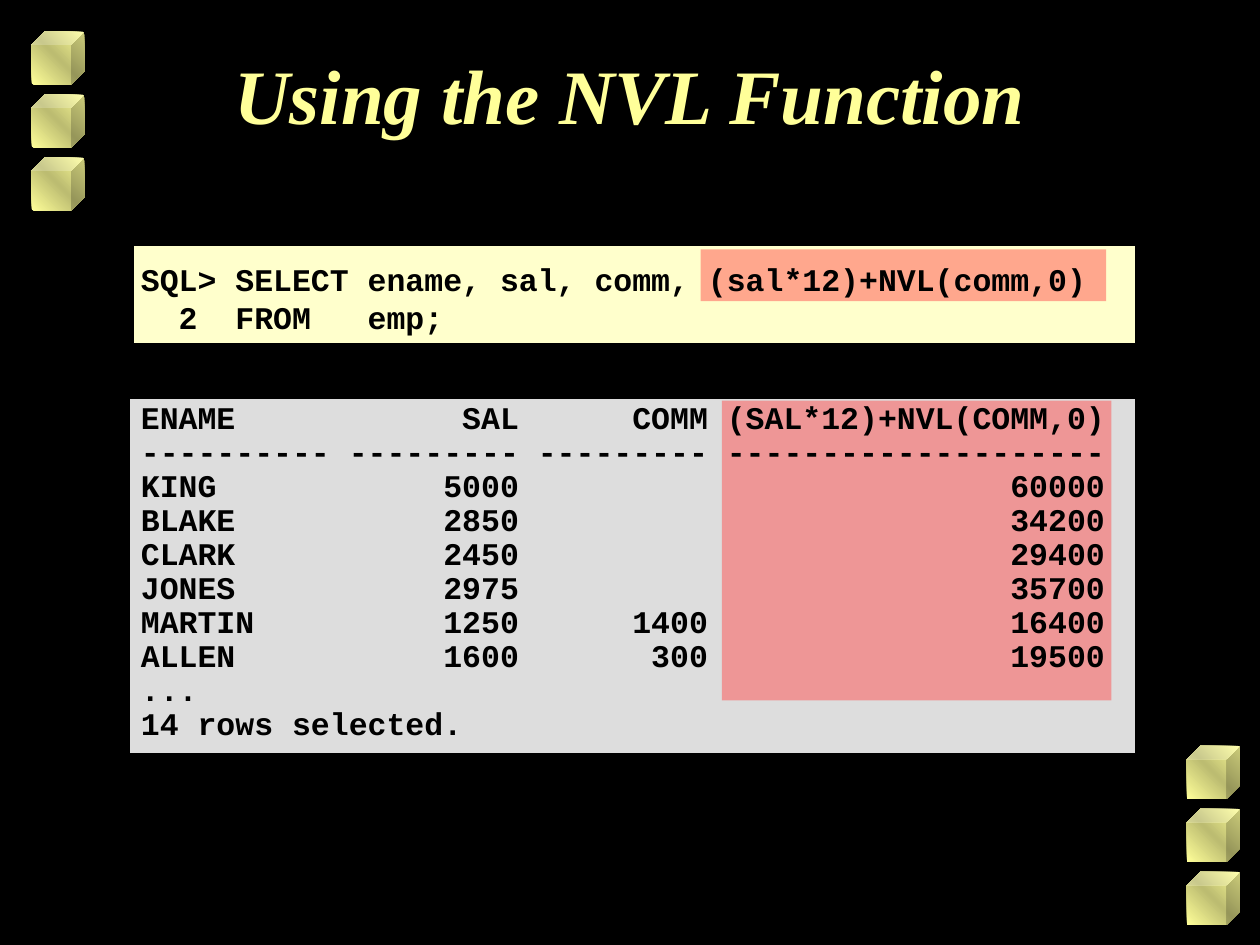
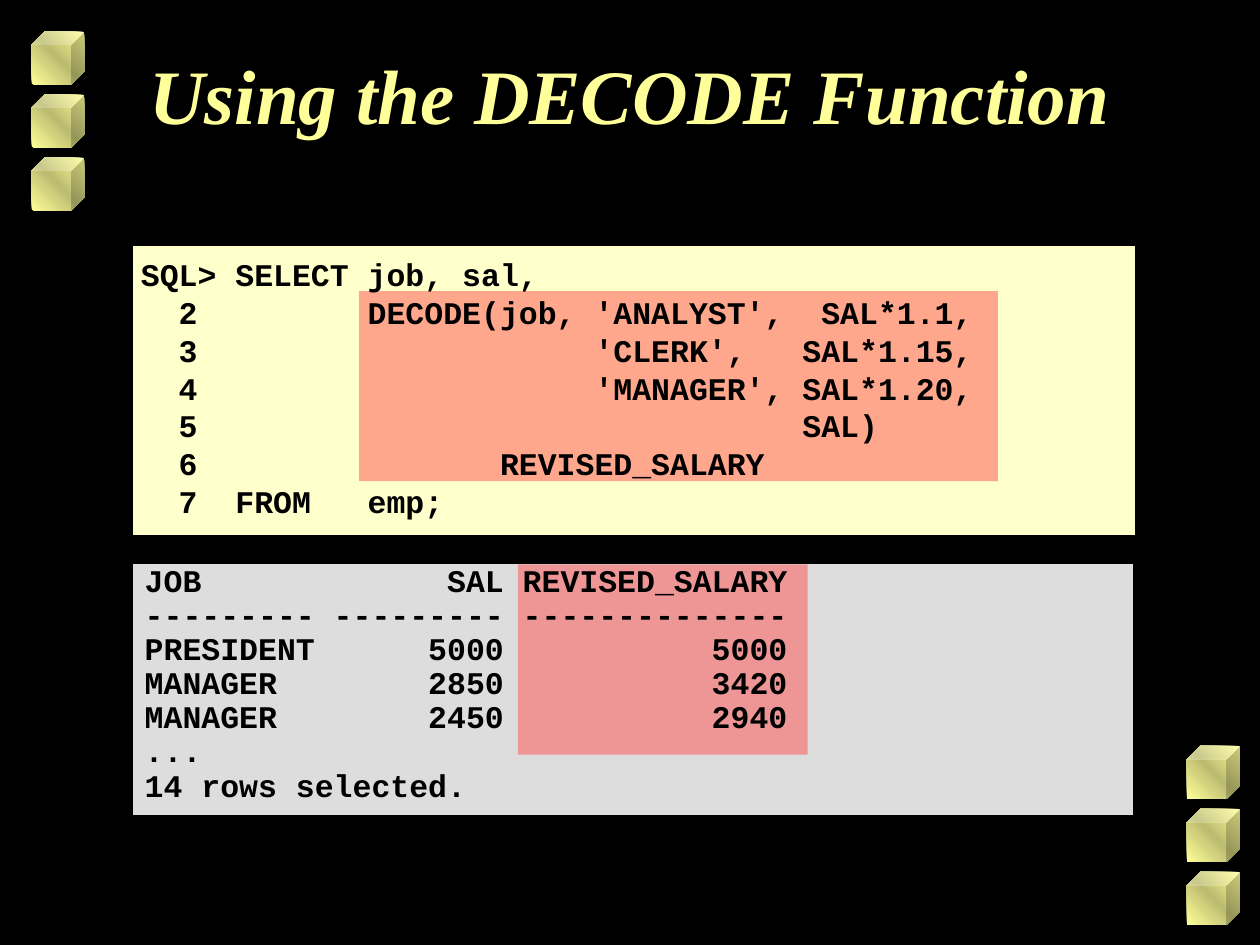
from copy import deepcopy

from pptx import Presentation
from pptx.dml.color import RGBColor
from pptx.enum import shapes, text
from pptx.oxml import ns, xmlchemy
from pptx.util import Inches, Pt

BLACK = RGBColor(0x00, 0x00, 0x00)
TITLE_YELLOW = RGBColor(0xFF, 0xFF, 0x99)
CUBE_SHADE = RGBColor(0xBC, 0xBC, 0x71)
CODE_CREAM = RGBColor(0xFF, 0xFF, 0xCC)
RESULT_GRAY = RGBColor(0xDD, 0xDD, 0xDD)
HIGHLIGHT_RED = RGBColor(0xFF, 0x50, 0x50)

TITLE_FONT = {"name": "Times New Roman", "size": Pt(44), "bold": True, "italic": True}
CODE_FONT = {"name": "Courier New", "size": Pt(18), "bold": True}
CUBE_SIZE, CUBE_STEP = 0.42, 0.5
CUBE_STACKS = [(0.25, 0.25), (9.42, 5.92)]

NVL_QUERY = """\
SQL> SELECT ename, sal, comm, (sal*12)+NVL(comm,0)
  2  FROM   emp;"""

NVL_RESULT = """\
ENAME            SAL      COMM (SAL*12)+NVL(COMM,0)
---------- --------- --------- --------------------
KING            5000                          60000
BLAKE           2850                          34200
CLARK           2450                          29400
JONES           2975                          35700
MARTIN          1250      1400                16400
ALLEN           1600       300                19500
...
14 rows selected."""

DECODE_QUERY = """\
SQL> SELECT job, sal,
  2         DECODE(job, 'ANALYST',  SAL*1.1,
  3                     'CLERK',   SAL*1.15,
  4                     'MANAGER', SAL*1.20,
  5                                SAL)
  6                REVISED_SALARY
  7  FROM   emp;"""

DECODE_RESULT = """\
JOB             SAL REVISED_SALARY
--------- --------- --------------
PRESIDENT      5000           5000
MANAGER        2850           3420
MANAGER        2450           2940
...
14 rows selected."""

# Each listing: its words, its panel, its highlight and its text area
LESSONS = [
    {
        "title": "Using the NVL Function",
        "query": (NVL_QUERY, (1.05, 1.94, 7.97, 0.8), (5.56, 1.98, 3.22, 0.41), (1.02, 1.82, 8, 1.09)),
        "result": (NVL_RESULT, (1.02, 3.15, 8, 2.84), (5.73, 3.18, 3.09, 2.38), (1.02, 3.14, 7.97, 2.81)),
    },
    {
        "title": "Using the DECODE Function",
        "query": (DECODE_QUERY, (1.04, 1.94, 7.98, 2.32), (2.85, 2.31, 5.07, 1.51), (1.02, 1.9, 8, 2.35)),
        "result": (DECODE_RESULT, (1.04, 4.46, 7.97, 2.02), (4.11, 4.48, 2.3, 1.51), (1.05, 4.44, 7.95, 2)),
    },
]

LISTING_STYLES = {
    "query": (CODE_CREAM, text.MSO_ANCHOR.MIDDLE, 1.0),
    "result": (RESULT_GRAY, text.MSO_ANCHOR.TOP, 0.9),
}


def add_block(slide, kind, area, color=None):
    """Add a shadowless shape without outline, filled if a color is given."""
    block = slide.shapes.add_shape(kind, *map(Inches, area))
    block.shadow.inherit = False
    block.line.fill.background()
    if color is not None:
        block.fill.solid()
        block.fill.fore_color.rgb = color
    return block


def add_words(slide, words, area, font, color, align, anchor=text.MSO_ANCHOR.TOP, spacing=1.0):
    frame = slide.shapes.add_textbox(*map(Inches, area)).text_frame
    frame.word_wrap = True
    frame.vertical_anchor = anchor
    frame.text = words
    for paragraph in frame.paragraphs:
        paragraph.alignment = align
        paragraph.line_spacing = spacing
        for key, value in font.items():
            setattr(paragraph.font, key, value)
        paragraph.font.color.rgb = color


deck = Presentation()
deck.slide_width, deck.slide_height = Inches(10), Inches(7.5)

for lesson in LESSONS:
    slide = deck.slides.add_slide(deck.slide_layouts[6])
    slide.background.fill.solid()
    slide.background.fill.fore_color.rgb = BLACK

    for left, top in CUBE_STACKS:
        for row in range(3):
            area = (left, top + row * CUBE_STEP, CUBE_SIZE, CUBE_SIZE)
            cube = add_block(slide, shapes.MSO_SHAPE.CUBE, area)
            cube.adjustments[0] = 0.25
            cube.fill.gradient()
            cube.fill.gradient_angle = 45
            first_stop = cube.element.spPr.find(".//" + ns.qn("a:gs"))
            first_stop.addnext(deepcopy(first_stop))
            for stop, position, color in zip(
                cube.fill.gradient_stops, (0, 0.5, 1), (TITLE_YELLOW, CUBE_SHADE, TITLE_YELLOW)
            ):
                stop.position = position
                stop.color.rgb = color

    add_words(slide, lesson["title"], (0.75, 0.33, 8.5, 1.25), TITLE_FONT, TITLE_YELLOW, text.PP_ALIGN.CENTER)

    for part, (panel_color, anchor, spacing) in LISTING_STYLES.items():
        words, panel_area, highlight_area, words_area = lesson[part]
        panel = add_block(slide, shapes.MSO_SHAPE.RECTANGLE, panel_area, panel_color)
        panel.line.color.rgb = BLACK
        panel.line.width = Pt(2)

        highlight = add_block(slide, shapes.MSO_SHAPE.RECTANGLE, highlight_area, HIGHLIGHT_RED)
        red = highlight.element.spPr.find(ns.qn("a:solidFill")).find(ns.qn("a:srgbClr"))
        red.append(xmlchemy.OxmlElement("a:alpha"))
        red[0].set("val", "50000")

        add_words(slide, words, words_area, CODE_FONT, BLACK, text.PP_ALIGN.LEFT, anchor, spacing)

deck.save("out.pptx")
